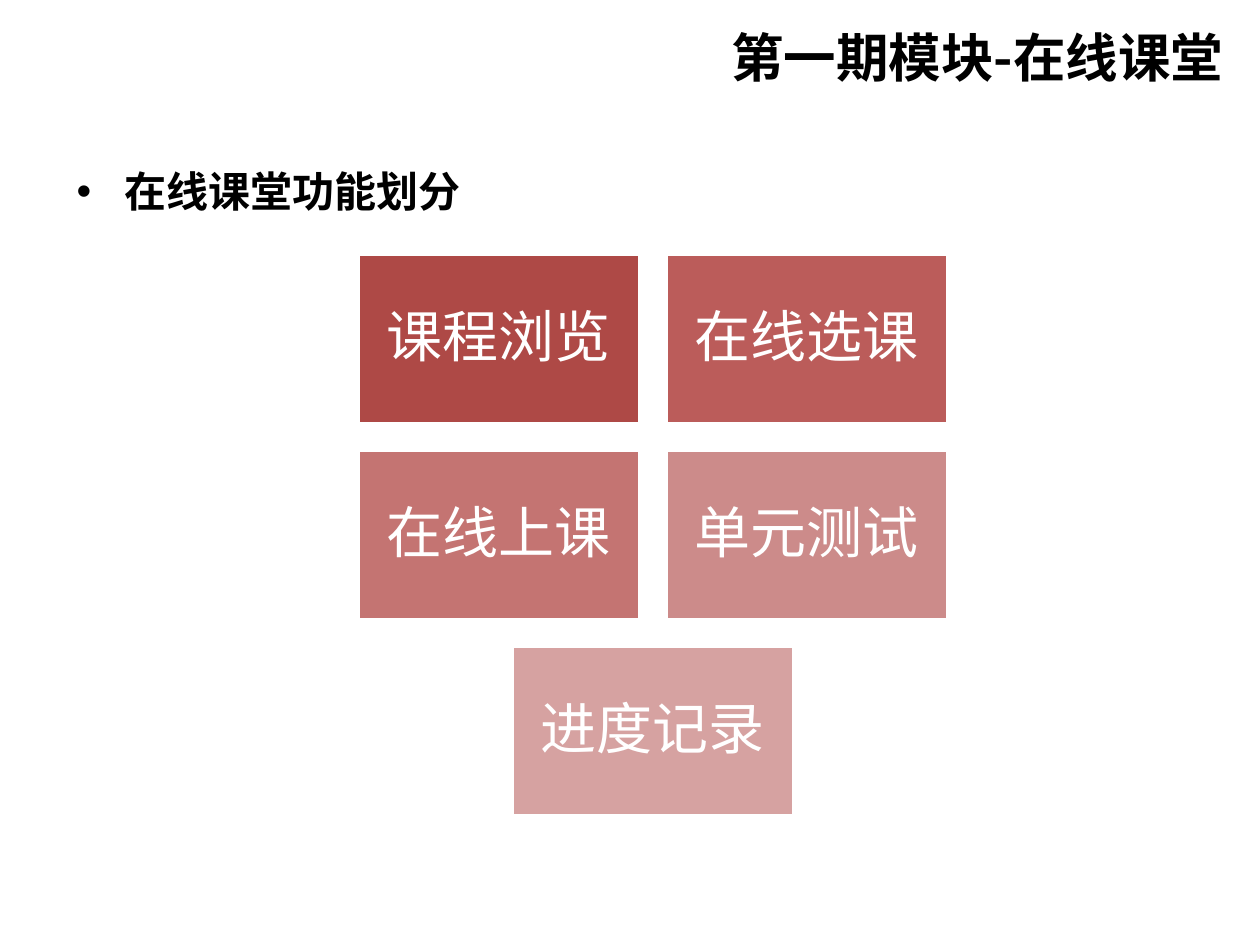
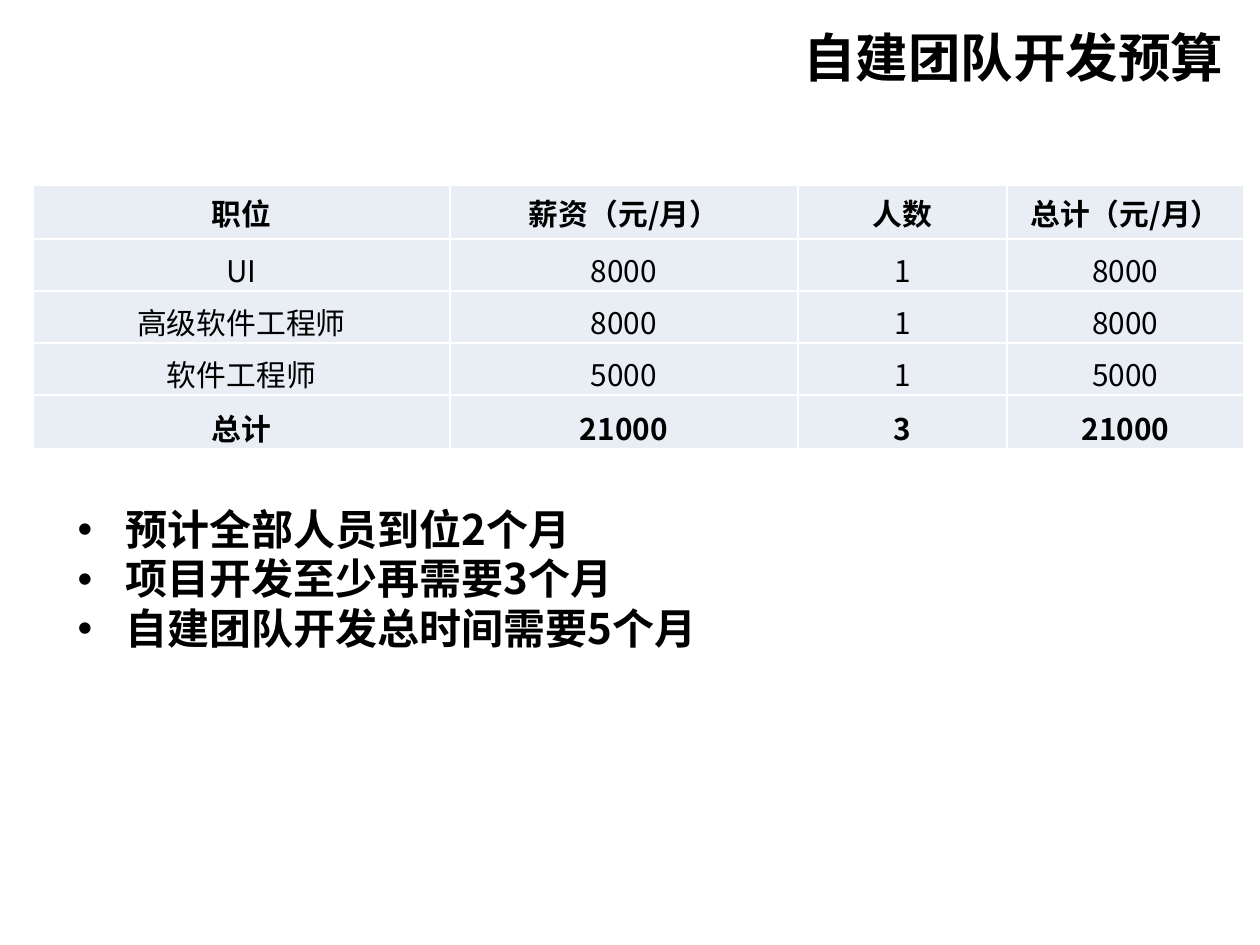
from dataclasses import dataclass

from lxml.etree import SubElement
from pptx import Presentation
from pptx.dml.color import RGBColor
from pptx.enum.shapes import MSO_SHAPE
from pptx.enum.text import MSO_ANCHOR, MSO_AUTO_SIZE, PP_ALIGN
from pptx.oxml.ns import qn
from pptx.util import Emu, Pt


@dataclass(frozen=True)
class Theme:
    """Colours, type sizes and spacing shared by the slides."""
    font: str = "Noto Sans CJK SC"
    ink: str = "000000"
    paper: str = "FFFFFF"
    cell: str = "E9EDF4"
    reds: tuple = ("AE4946", "BB5C5A", "C47472", "CC8B8A", "D6A2A1")
    title: int = 30
    list: int = 24
    box: int = 32
    table: int = 17
    lead: float = 0.9


THEME = Theme()
SCALE = 914400 / 126


def px(count):
    """Turn px into EMU."""
    return Emu(round(count * SCALE))


def rgb(code):
    """Turn a hex code into a colour."""
    return RGBColor.from_string(code)


def place(shape, left, top, width, height):
    """Move and size a shape in px."""
    shape.left, shape.top = px(left), px(top)
    shape.width, shape.height = px(width), px(height)


def inset(item, *sides):
    """Set left, top, right and bottom margins in px."""
    names = ("margin_left", "margin_top", "margin_right", "margin_bottom")
    for name, side in zip(names, sides):
        setattr(item, name, px(side))


def write(para, text, size, color=THEME.ink, bold=False):
    """Add one styled run to a paragraph."""
    run = para.add_run()
    run.text = text
    font = run.font
    font.size, font.bold, font.name = Pt(size), bold, THEME.font
    font.color.rgb = rgb(color)
    SubElement(font._element, qn("a:ea"), typeface=THEME.font)


def start(deck, title):
    """Add a slide with its title at the top right."""
    slide = deck.slides.add_slide(deck.slide_layouts[1])
    head = slide.shapes.title
    place(head, 94, 26, 1142, 96)
    frame = head.text_frame
    frame.auto_size = MSO_AUTO_SIZE.NONE
    frame.vertical_anchor = MSO_ANCHOR.TOP
    para = frame.paragraphs[0]
    para.alignment, para.line_spacing = PP_ALIGN.RIGHT, THEME.lead
    write(para, title, THEME.title, bold=True)
    return slide


def bullets(slide, lines, *area):
    """Fill the body placeholder with a bold list."""
    body = slide.placeholders[1]
    place(body, *area)
    frame = body.text_frame
    frame.auto_size = MSO_AUTO_SIZE.NONE
    frame.vertical_anchor = MSO_ANCHOR.TOP
    for index, line in enumerate(lines):
        para = frame.add_paragraph() if index else frame.paragraphs[0]
        para.line_spacing, para.space_before = THEME.lead, Pt(2.3)
        props = para._p.get_or_add_pPr()
        props.set("marL", str(px(48)))
        props.set("indent", str(-px(48)))
        SubElement(props, qn("a:buFont"), typeface="Arial")
        SubElement(props, qn("a:buChar"), char="•")
        write(para, line, THEME.list, bold=True)


def box(slide, text, fill, *area):
    """Draw one filled block with a centred label."""
    shape = slide.shapes.add_shape(MSO_SHAPE.RECTANGLE, 0, 0, 0, 0)
    place(shape, *area)
    shape.shadow.inherit = False
    shape.fill.solid()
    shape.fill.fore_color.rgb = rgb(fill)
    shape.line.color.rgb = rgb(THEME.paper)
    shape.line.width = Pt(1.5)
    frame = shape.text_frame
    frame.word_wrap = True
    frame.vertical_anchor = MSO_ANCHOR.MIDDLE
    inset(frame, 16, 16, 16, 16)
    para = frame.paragraphs[0]
    para.alignment, para.line_spacing = PP_ALIGN.CENTER, THEME.lead
    write(para, text, THEME.box, THEME.paper)


def blocks(slide, rows):
    """Lay out rows of blocks, each row centred on one axis."""
    axis, top, width, height, gap = 653, 255, 280, 168, 28
    reds = iter(THEME.reds)
    for line, row in enumerate(rows):
        span = len(row) * (width + gap) - gap
        for spot, text in enumerate(row):
            left = axis - span // 2 + spot * (width + gap)
            box(slide, text, next(reds), left, top + line * (height + gap),
                width, height)


def edge(cell):
    """Draw thin pale borders around a cell."""
    props = cell._tc.get_or_add_tcPr()
    for side in ("lnL", "lnR", "lnT", "lnB"):
        line = SubElement(props, qn(f"a:{side}"), w=str(Pt(1)))
        fill = SubElement(line, qn("a:solidFill"))
        SubElement(fill, qn("a:srgbClr"), val=THEME.paper)


def grid(slide, rows, widths, heights, left, top):
    """Add a table with a bold first and last row."""
    frame = slide.shapes.add_table(len(rows), len(widths), px(left), px(top),
                                   px(sum(widths)), px(sum(heights)))
    table = frame.table
    for column, width in zip(table.columns, widths):
        column.width = px(width)
    for line, (row, height) in enumerate(zip(rows, heights)):
        table.rows[line].height = px(height)
        for spot, text in enumerate(row):
            cell = table.cell(line, spot)
            edge(cell)
            cell.fill.solid()
            cell.fill.fore_color.rgb = rgb(THEME.cell)
            inset(cell, 1, 1, 1, 0)
            cell.vertical_anchor = MSO_ANCHOR.BOTTOM if line else MSO_ANCHOR.MIDDLE
            para = cell.text_frame.paragraphs[0]
            para.alignment = PP_ALIGN.CENTER
            write(para, text, THEME.table, bold=line in (0, len(rows) - 1))


def main():
    """Build and save both slides."""
    deck = Presentation()
    deck.slide_width, deck.slide_height = px(1260), px(945)

    course = start(deck, "第一期模块-在线课堂")
    bullets(course, ["在线课堂功能划分"], 64, 165, 427, 59)
    blocks(course, [("课程浏览", "在线选课"), ("在线上课", "单元测试"), ("进度记录",)])

    budget = start(deck, "自建团队开发预算")
    grid(budget, [
        ("职位", "薪资（元/月）", "人数", "总计（元/月）"),
        ("UI", "8000", "1", "8000"),
        ("高级软件工程师", "8000", "1", "8000"),
        ("软件工程师", "5000", "1", "5000"),
        ("总计", "21000", "3", "21000"),
    ], (417, 348, 209, 237), (54, 52, 52, 52, 54), 33, 185)
    bullets(budget, ["预计全部人员到位2个月", "项目开发至少再需要3个月",
                     "自建团队开发总时间需要5个月"], 65, 503, 1144, 198)
    deck.save("out.pptx")


if __name__ == "__main__":
    main()
